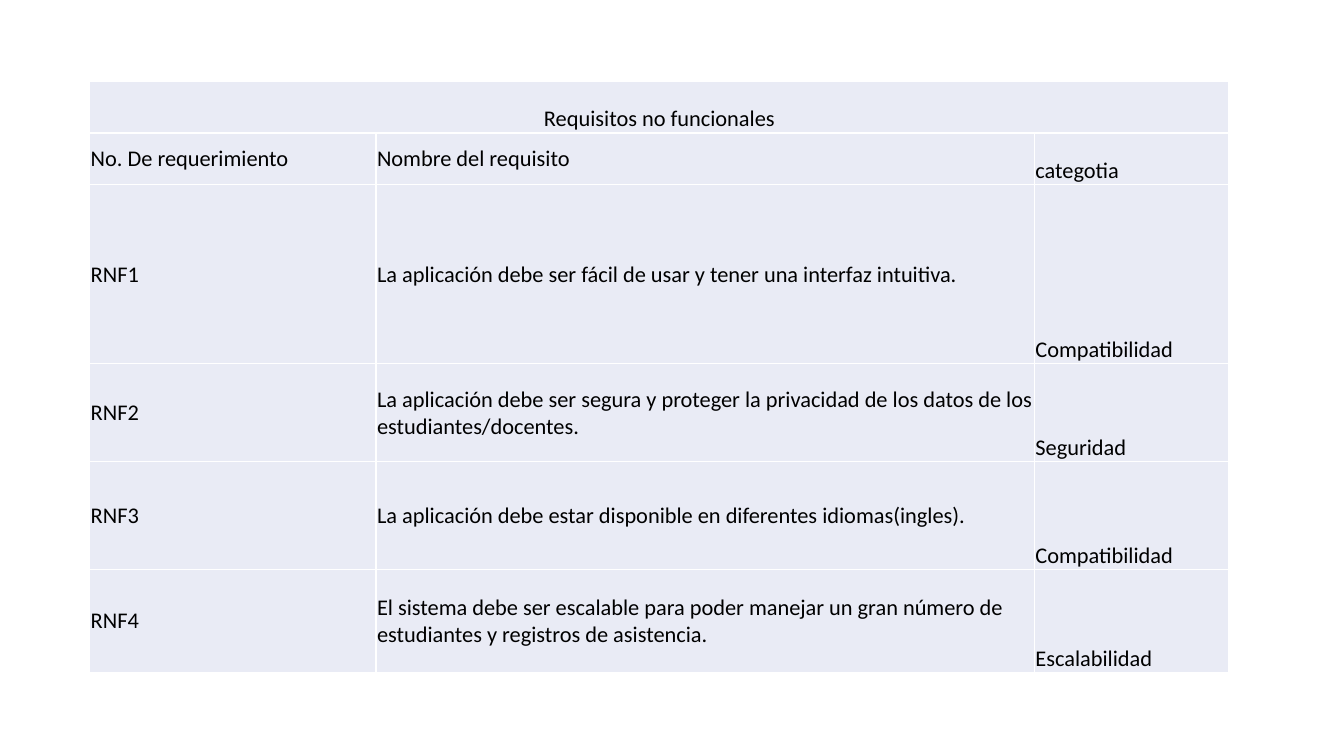
from dataclasses import dataclass

import lxml.etree
import pptx
import pptx.dml.color
import pptx.enum.text
import pptx.oxml.ns
import pptx.table
import pptx.util

EMU_PER_PX = 9144  # 100 px to the inch
BLACK = pptx.dml.color.RGBColor(0x00, 0x00, 0x00)
WHITE = pptx.dml.color.RGBColor(0xFF, 0xFF, 0xFF)
PALE_BLUE = pptx.dml.color.RGBColor(0xE9, 0xEB, 0xF5)

MIDDLE = pptx.enum.text.MSO_ANCHOR.MIDDLE
BOTTOM = pptx.enum.text.MSO_ANCHOR.BOTTOM
LEFT = pptx.enum.text.PP_ALIGN.LEFT
CENTER = pptx.enum.text.PP_ALIGN.CENTER

TABLE_LEFT, TABLE_TOP = 89, 81
COLUMN_WIDTHS = (284, 653, 193)
TITLE = "Requisitos no funcionales"
TITLE_HEIGHT = 51


@dataclass(frozen=True)
class Requirement:
    height: int
    number: str
    name: str
    category: str


REQUIREMENTS = (
    Requirement(51, "No. De requerimiento", "Nombre del requisito", "categotia"),
    Requirement(178, "RNF1", "La aplicación debe ser fácil de usar y tener una interfaz intuitiva.",
                "Compatibilidad"),
    Requirement(97, "RNF2", "La aplicación debe ser segura y proteger la privacidad de los datos "
                "de los estudiantes/docentes.", "Seguridad"),
    Requirement(107, "RNF3", "La aplicación debe estar disponible en diferentes idiomas(ingles).",
                "Compatibilidad"),
    Requirement(102, "RNF4", "El sistema debe ser escalable para poder manejar un gran número de "
                "estudiantes y registros de asistencia.", "Escalabilidad"),
)


def px(length: int) -> pptx.util.Emu:
    return pptx.util.Emu(length * EMU_PER_PX)


def style_cell(cell: pptx.table._Cell) -> None:
    """Apply the borders, fill and margins; borders must precede the fill in the XML."""
    properties = cell._tc.get_or_add_tcPr()
    qualified = pptx.oxml.ns.qn
    for side in ("lnL", "lnR", "lnT", "lnB"):
        border = lxml.etree.SubElement(properties, qualified(f"a:{side}"), w=str(pptx.util.Pt(1)))
        solid = lxml.etree.SubElement(border, qualified("a:solidFill"))
        lxml.etree.SubElement(solid, qualified("a:srgbClr"), val=str(WHITE))
    cell.fill.solid()
    cell.fill.fore_color.rgb = PALE_BLUE
    cell.margin_left = cell.margin_right = cell.margin_top = px(1)
    cell.margin_bottom = 0


def write_text(cell: pptx.table._Cell, text: str, *,
               anchor: pptx.enum.text.MSO_ANCHOR = MIDDLE,
               alignment: pptx.enum.text.PP_ALIGN = LEFT) -> None:
    cell.vertical_anchor = anchor
    paragraph = cell.text_frame.paragraphs[0]
    paragraph.alignment = alignment
    run = paragraph.add_run()
    run.text = text
    run.font.name = "Calibri"
    run.font.size = pptx.util.Pt(16)
    run.font.color.rgb = BLACK


def main() -> None:
    presentation = pptx.Presentation()
    presentation.slide_width, presentation.slide_height = px(1333), px(750)
    slide = presentation.slides.add_slide(presentation.slide_layouts[6])

    row_heights = [TITLE_HEIGHT] + [requirement.height for requirement in REQUIREMENTS]
    table = slide.shapes.add_table(
        len(row_heights), len(COLUMN_WIDTHS), px(TABLE_LEFT), px(TABLE_TOP),
        px(sum(COLUMN_WIDTHS)), px(sum(row_heights))).table
    table.first_row = table.horz_banding = False
    for column, width in zip(table.columns, COLUMN_WIDTHS):
        column.width = px(width)
    for row, height in zip(table.rows, row_heights):
        row.height = px(height)
    for cell in table.iter_cells():
        style_cell(cell)

    title_cell = table.cell(0, 0)
    title_cell.merge(table.cell(0, len(COLUMN_WIDTHS) - 1))
    write_text(title_cell, TITLE, anchor=BOTTOM, alignment=CENTER)
    for row_index, requirement in enumerate(REQUIREMENTS, start=1):
        write_text(table.cell(row_index, 0), requirement.number)
        write_text(table.cell(row_index, 1), requirement.name)
        write_text(table.cell(row_index, 2), requirement.category, anchor=BOTTOM)

    presentation.save("out.pptx")


if __name__ == "__main__":
    main()
